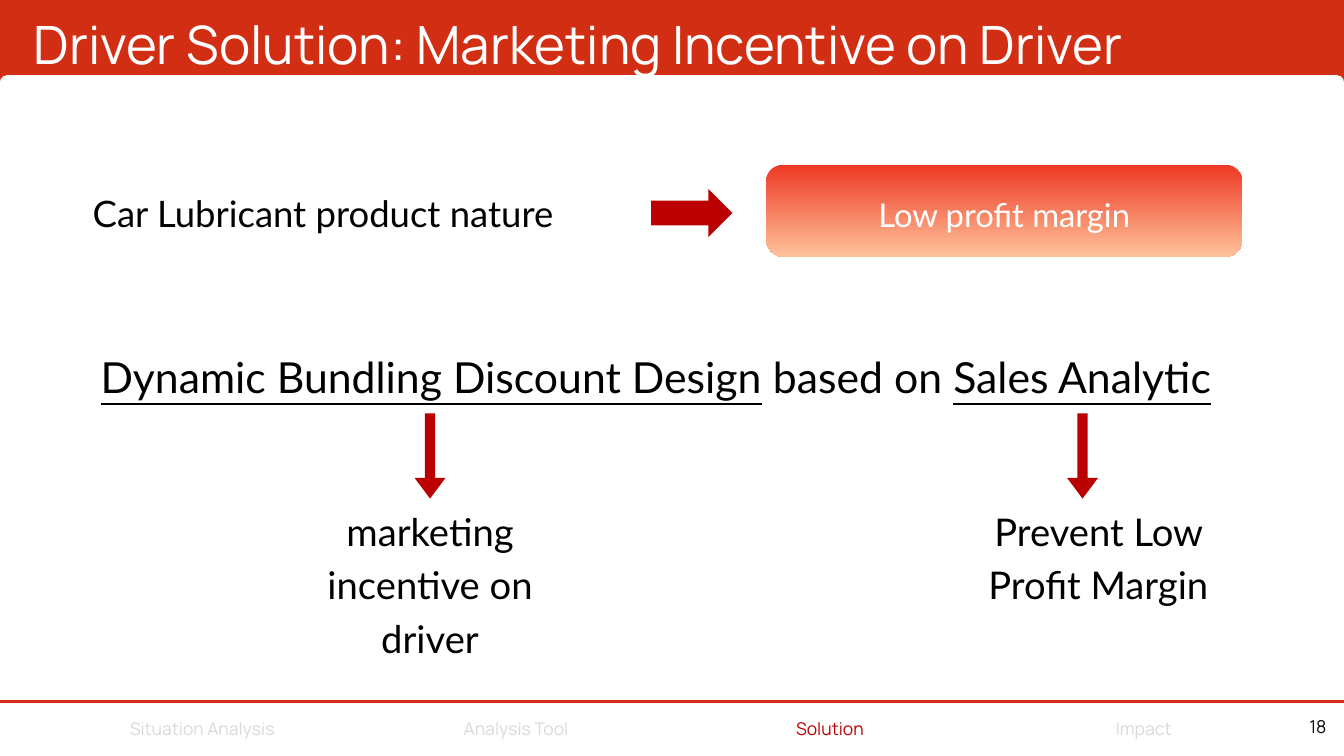
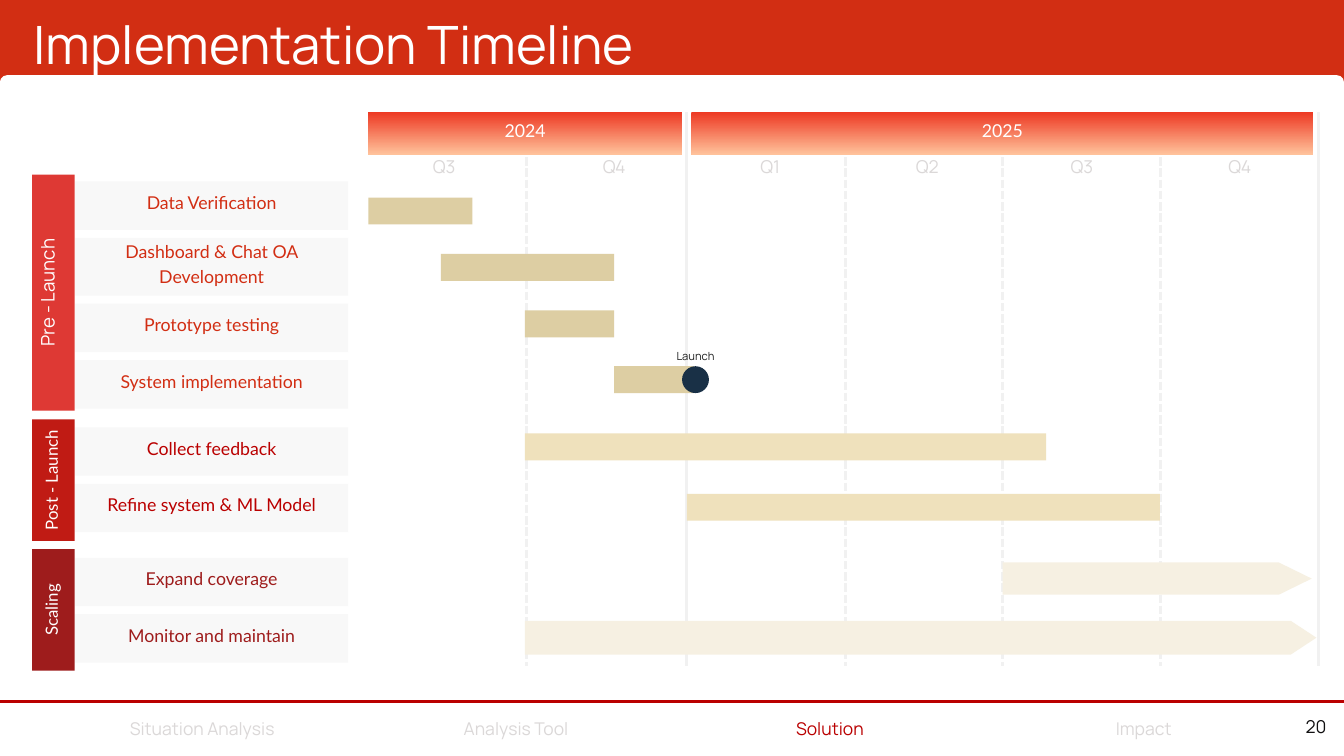
from lxml.etree import SubElement
from pptx import Presentation
from pptx.dml.color import RGBColor
from pptx.enum.dml import MSO_LINE
from pptx.enum.shapes import MSO_CONNECTOR, MSO_SHAPE
from pptx.enum.text import MSO_ANCHOR, PP_ALIGN
from pptx.oxml.ns import qn
from pptx.util import Inches, Pt

COLORS = {
    "red": "D22E13", "crimson": "BA0000", "white": "FFFFFF", "black": "000000",
    "muted": "DBD8D8", "page": "100F10", "grid": "F1F1F1", "card": "F8F8F8",
    "grad_top": "ED3923", "grad_bottom": "FFC29B",
    "pre": "DE3934", "post": "C01B14", "scaling": "9E1C1C",
    "pre_bar": "DDCEA3", "post_bar": "EFE1BC", "scaling_bar": "F6F0E2",
    "milestone": "193046", "milestone_text": "1F2020",
}
HEADING, BODY = "Manrope", "Lato"
SECTIONS = ["Situation Analysis", "Analysis Tool", "Solution", "Impact"]
LEFT, CENTER, RIGHT = PP_ALIGN.LEFT, PP_ALIGN.CENTER, PP_ALIGN.RIGHT

# Gantt layout
CARD_X, CARD_W, CARD_GAP = 1.12, 4.06, 0.12
GRID_TOP, GRID_BOTTOM = 1.67, 9.91
QUARTERS = [("Q3", 6.61), ("Q4", 9.14), ("Q1", 11.46),
            ("Q2", 13.8), ("Q3", 16.1), ("Q4", 18.45)]
GRID_LINES = [(7.83, True), (10.22, False), (12.58, True),
              (14.92, True), (17.27, True), (19.62, False)]

# Phase: name, key, text colour, top, height, first card, size, font, rise, tasks
# Task: name, card height, bar start, bar end, bar top, bar height, tip length
PHASES = [
    ("Pre - Launch", "pre", "red", 2.6, 3.51, 2.7, 20, HEADING, 0.24, [
        ("Data Verification", 0.72, 5.48, 7.03, 2.94, 0.4, 0),
        ("Dashboard & Chat OA Development", 0.86, 6.56, 9.14, 3.78, 0.4, 0),
        ("Prototype testing", 0.72, 7.81, 9.14, 4.62, 0.4, 0),
        ("System implementation", 0.72, 9.14, 10.33, 5.45, 0.4, 0),
    ]),
    ("Post - Launch", "post", "crimson", 6.24, 1.81, 6.36, 18, BODY, 0.12, [
        ("Collect feedback", 0.72, 7.81, 15.57, 6.45, 0.4, 0),
        ("Refine system & ML Model", 0.72, 10.22, 17.26, 7.35, 0.4, 0),
    ]),
    ("Scaling", "scaling", "scaling", 8.17, 1.81, 8.3, 18, BODY, 0.12, [
        ("Expand coverage", 0.72, 14.92, 19.52, 8.37, 0.48, 0.49),
        ("Monitor and maintain", 0.72, 7.81, 19.59, 9.24, 0.5, 0.38),
    ]),
]


def rgb(name):
    return RGBColor.from_string(COLORS[name])


def box(x, y, w, h):
    return [Inches(v) for v in (x, y, w, h)]


def add_shape(s, kind, x, y, w, h, fill, adjust=()):
    """Borderless shape; fill "gradient" gives the red-to-peach fade."""
    sp = s.shapes.add_shape(kind, *box(x, y, w, h))
    sp.shadow.inherit = False
    sp.line.fill.background()
    for i, value in enumerate(adjust):
        sp.adjustments[i] = value
    if fill == "gradient":
        sp.fill.gradient()
        sp.fill.gradient_angle = 270
        for stop, name, pos in zip(sp.fill.gradient_stops,
                                   ("grad_top", "grad_bottom"), (0, 1)):
            stop.color.rgb = rgb(name)
            stop.position = pos
    else:
        sp.fill.solid()
        sp.fill.fore_color.rgb = rgb(fill)
    return sp


def add_text(s, x, y, w, h, text, size, color, font=BODY, align=CENTER,
             spacing=None, inset=0, anchor=MSO_ANCHOR.TOP):
    """Text box; text is a string or a list of (text, underlined) runs."""
    sp = s.shapes.add_textbox(*box(x, y, w, h))
    tf = sp.text_frame
    tf.word_wrap = True
    tf.vertical_anchor = anchor
    tf.margin_left = tf.margin_right = Inches(inset)
    tf.margin_top = tf.margin_bottom = Inches(inset)
    p = tf.paragraphs[0]
    p.alignment = align
    p.line_spacing = Pt(spacing or round(size * 1.4, 1))
    for part, underlined in [(text, False)] if isinstance(text, str) else text:
        r = p.add_run()
        r.text = part
        r.font.size = Pt(size)
        r.font.name = font
        r.font.color.rgb = rgb(color)
        if underlined:
            r.font.underline = True
    return sp


def add_line(s, x1, y1, x2, y2, color, dashed=False):
    c = s.shapes.add_connector(MSO_CONNECTOR.STRAIGHT, *box(x1, y1, x2, y2))
    c.line.color.rgb = rgb(color)
    c.line.width = Pt(3)
    if dashed:
        c.line.dash_style = MSO_LINE.SQUARE_DOT
    SubElement(c._element.spPr, qn("a:effectLst"))


def add_block(s, x, y, w, h, fill, text, color="white", size=19, font=BODY,
              rise=0.15, vertical=False):
    """Filled rectangle whose label box reaches past its top edge by rise."""
    add_shape(s, MSO_SHAPE.RECTANGLE, x, y, w, h, fill)
    if vertical:
        # Turned a quarter left, the label's top edge faces left
        cx, cy = x + (w - rise) / 2, y + h / 2
        w, h = h, w + rise
        frame = (cx - w / 2, cy - h / 2, w, h)
    else:
        frame = (x, y - rise, w, h + rise)
    sp = add_text(s, *frame, text, size, color, font, inset=0.06,
                  anchor=MSO_ANCHOR.MIDDLE)
    if vertical:
        sp.rotation = 270


def add_base(prs, title, number, rule_color):
    """Red band with title, white panel, footer sections and page number."""
    s = prs.slides.add_slide(prs.slide_layouts[6])
    s.background.fill.solid()
    s.background.fill.fore_color.rgb = rgb("red")
    add_shape(s, MSO_SHAPE.ROUND_2_SAME_RECTANGLE, 0, 1.12, 20, 10.13,
              "white", (0.01, 0))
    add_text(s, 0.5, 0.01, 19.5, 1.11, title, 56.6, "white", HEADING, LEFT)
    add_line(s, 0, 10.44, 20, 10.44, rule_color)
    for i, section in enumerate(SECTIONS):
        color = "crimson" if section == "Solution" else "muted"
        add_text(s, 1.55 + i * 4.67, 10.63, 2.92, 0.37, section, 18.8, color,
                 HEADING)
    add_text(s, 19.2, 10.76, 0.54, 0.26, str(number), 19, "page", HEADING,
             RIGHT, spacing=15)
    return s


def build_driver_solution(prs):
    s = add_base(prs, "Driver Solution: Marketing Incentive on Driver", 18,
                 "red")
    # Product nature leads to low margin
    add_text(s, 1.38, 2.73, 8.31, 0.72, "Car Lubricant product nature", 39.1,
             "black", align=LEFT)
    add_shape(s, MSO_SHAPE.RIGHT_ARROW, 9.69, 2.81, 1.21, 0.72, "crimson",
              (0.51, 0.5))
    add_shape(s, MSO_SHAPE.ROUNDED_RECTANGLE, 11.4, 2.45, 7.09, 1.37,
              "gradient", (0.19,))
    add_text(s, 11.28, 2.8, 7.33, 0.65, "Low profit margin", 35.1, "white")
    # Design statement and what each half achieves
    add_text(s, 0.61, 5.09, 18.3, 0.87,
             [("Dynamic Bundling Discount Design", True),
              (" based on ", False), ("Sales Analytic", True)], 45.8, "black")
    for x in (6.17, 15.88):
        add_shape(s, MSO_SHAPE.DOWN_ARROW, x, 6.15, 0.46, 1.27, "crimson",
                  (0.33, 0.67))
    add_text(s, 4.58, 7.45, 3.64, 2.34, "marketing incentive on driver", 40.9,
             "black")
    add_text(s, 14.58, 7.45, 3.53, 1.55, "Prevent Low Profit Margin", 40.9,
             "black")


def add_phase(s, name, key, color, top, height, card_y, size, font, rise,
              tasks):
    add_block(s, 0.48, top, 0.63, height, key, name, size=size, font=font,
              rise=rise, vertical=True)
    for task, card_h, start, end, bar_y, bar_h, tip in tasks:
        add_block(s, CARD_X, card_y, CARD_W, card_h, "card", task, color)
        card_y += card_h + CARD_GAP
        kind = MSO_SHAPE.PENTAGON if tip else MSO_SHAPE.RECTANGLE
        add_shape(s, kind, start, bar_y, end - start, bar_h, key + "_bar",
                  (tip / bar_h,) if tip else ())


def build_timeline(prs):
    s = add_base(prs, "Implementation Timeline", 20, "crimson")
    # Years, quarters and grid
    for year, x, w in (("2024", 5.48, 4.67), ("2025", 10.29, 9.25)):
        add_block(s, x, GRID_TOP, w, 0.63, "gradient", year)
    for x, dashed in GRID_LINES:
        add_line(s, x, 2.34 if dashed else GRID_TOP, x, GRID_BOTTOM, "grid",
                 dashed)
    for quarter, cx in QUARTERS:
        add_text(s, cx - 0.46, 2.27, 0.92, 0.37, quarter, 19, "muted", HEADING)
    # Phases with their tasks
    for phase in PHASES:
        add_phase(s, *phase)
    # Launch milestone
    add_shape(s, MSO_SHAPE.OVAL, 10.15, 5.45, 0.4, 0.4, "milestone")
    add_text(s, 9.89, 5.17, 0.92, 0.23, "Launch", 12, "milestone_text",
             HEADING)


def main():
    prs = Presentation()
    prs.slide_width, prs.slide_height = Inches(20), Inches(11.25)
    build_driver_solution(prs)
    build_timeline(prs)
    prs.save("out.pptx")


if __name__ == "__main__":
    main()
